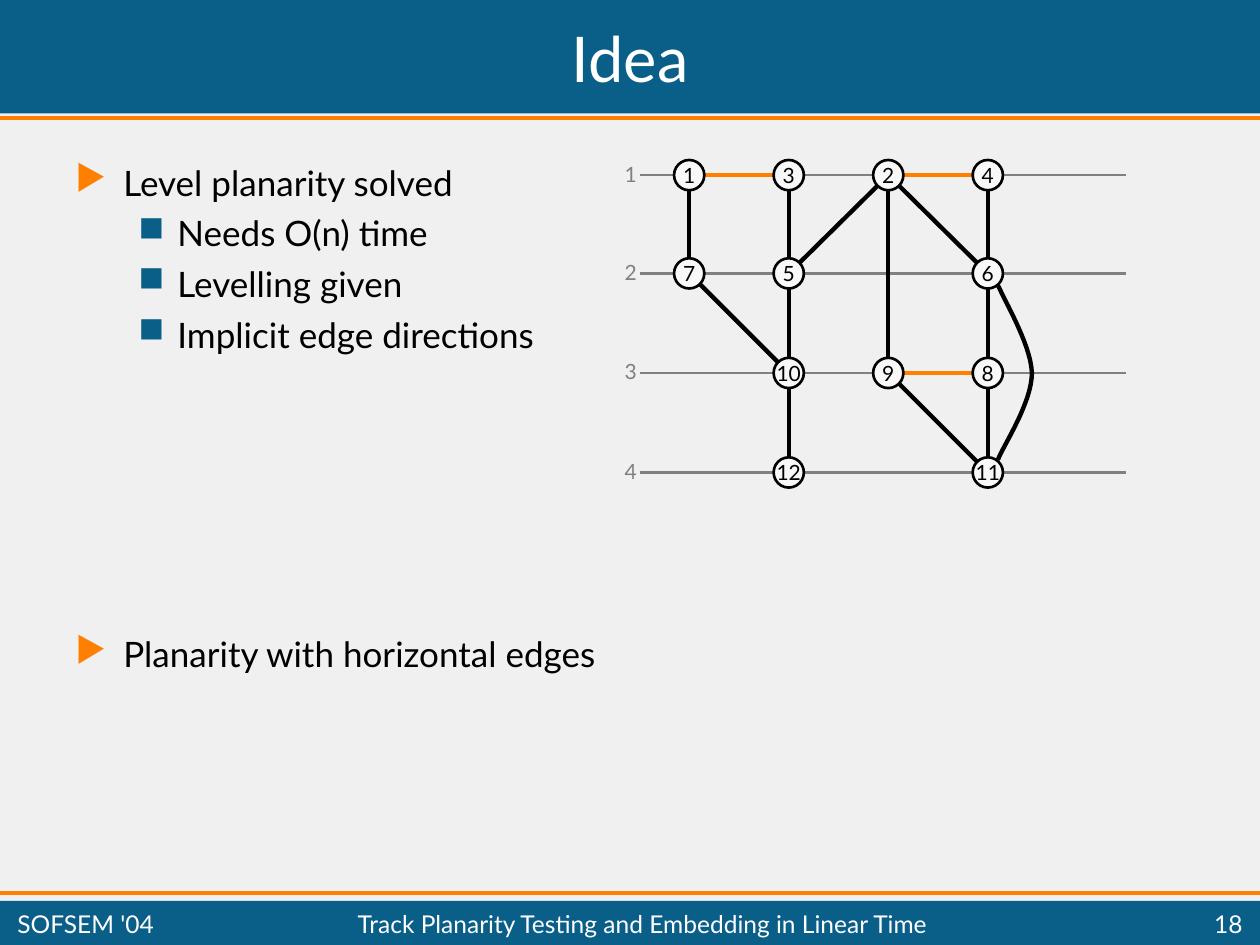
from dataclasses import dataclass
from math import hypot

from lxml.etree import SubElement
from pptx import Presentation
from pptx.dml.color import RGBColor
from pptx.enum.shapes import MSO_CONNECTOR, MSO_SHAPE
from pptx.enum.text import MSO_ANCHOR, PP_ALIGN
from pptx.oxml.ns import qn
from pptx.util import Inches, Pt

FONT = "Lato"
BLUE, ORANGE, GREY = "0A5F89", "FF7F00", "808080"
BLACK, WHITE, PAPER, NODE_FILL = "000000", "FFFFFF", "F0F0F0", "F8F8F8"

COLUMN_X = [5.47 + 0.79 * column for column in range(4)]
TRACK_Y = (1.39, 2.17, 2.96, 3.75)
TRACK_LEFT, TRACK_RIGHT = 5.08, 8.94
RADIUS = 0.12


@dataclass(frozen=True)
class Node:
    column: int
    track: int

    @property
    def centre(self) -> tuple[float, float]:
        return COLUMN_X[self.column], TRACK_Y[self.track]


@dataclass(frozen=True)
class Bullet:
    text: str
    level: int = 0
    before: float = 0


NODES = {
    1: Node(0, 0), 3: Node(1, 0), 2: Node(2, 0), 4: Node(3, 0),
    7: Node(0, 1), 5: Node(1, 1), 6: Node(3, 1),
    10: Node(1, 2), 9: Node(2, 2), 8: Node(3, 2),
    12: Node(1, 3), 11: Node(3, 3),
}
# Each edge runs from the lower node's rim to the upper node's centre
LEVEL_EDGES = [(5, 3), (7, 1), (6, 4), (6, 2), (5, 2), (11, 9), (11, 8),
               (8, 6), (9, 2), (10, 7), (10, 5), (12, 10)]
HORIZONTAL_EDGES = [(1, 3), (9, 8), (2, 4)]
# Cubic segments of the bent edge from 11 to 6
BENT_EDGE = [
    [(7.92, 3.65), (7.96, 3.54), (8.19, 3.2), (8.19, 2.96)],
    [(8.19, 2.96), (8.18, 2.71), (7.94, 2.34), (7.88, 2.17)],
]
BULLETS = [
    Bullet("Level planarity solved"),
    Bullet("Needs O(n) time", 1, 5),
    Bullet("Levelling given", 1, 5),
    Bullet("Implicit edge directions", 1, 5),
    Bullet("Planarity with horizontal edges", 0, 158.5),
]
# Marker, colour, left margin and hanging indent of each level
BULLET_STYLES = [("▶", ORANGE, 0.38, 0.38), ("■", BLUE, 0.81, 0.31)]


def rgb(colour: str) -> RGBColor:
    return RGBColor.from_string(colour)


def write(paragraph, text: str, *, size: float, colour: str = BLACK,
          align=PP_ALIGN.LEFT) -> None:
    paragraph.alignment = align
    run = paragraph.add_run()
    run.text = text
    run.font.name = FONT
    run.font.size = Pt(size)
    run.font.color.rgb = rgb(colour)


def add_text(slide, box: tuple, text: str, *, anchor=MSO_ANCHOR.MIDDLE,
             wrap: bool = True, **text_format) -> None:
    frame = slide.shapes.add_textbox(*map(Inches, box)).text_frame
    frame.word_wrap = wrap
    frame.vertical_anchor = anchor
    write(frame.paragraphs[0], text, **text_format)


def add_line(slide, start: tuple, end: tuple, colour: str, width: float) -> None:
    line = slide.shapes.add_connector(
        MSO_CONNECTOR.STRAIGHT, *map(Inches, (*start, *end)))
    line.line.color.rgb = rgb(colour)
    line.line.width = Pt(width)
    SubElement(line._element.spPr, qn("a:effectLst"))


def add_band(slide, top: float, height: float) -> None:
    band = slide.shapes.add_shape(
        MSO_SHAPE.RECTANGLE, 0, Inches(top), Inches(10), Inches(height))
    band.shadow.inherit = False
    band.fill.solid()
    band.fill.fore_color.rgb = rgb(BLUE)
    band.line.fill.background()


def add_level_edge(slide, lower: Node, upper: Node) -> None:
    (x1, y1), (x2, y2) = lower.centre, upper.centre
    share = RADIUS / hypot(x2 - x1, y2 - y1)
    rim = (x1 + share * (x2 - x1), y1 + share * (y2 - y1))
    add_line(slide, rim, (x2, y2), BLACK, 2.5)


def cubic_point(controls: list, t: float) -> tuple:
    weights = ((1 - t) ** 3, 3 * t * (1 - t) ** 2, 3 * t ** 2 * (1 - t), t ** 3)
    return tuple(Inches(sum(w * point[axis] for w, point in zip(weights, controls)))
                 for axis in (0, 1))


def add_bent_edge(slide, segments: list, steps: int = 16) -> None:
    points = [cubic_point(controls, step / steps)
              for controls in segments for step in range(steps + 1)]
    builder = slide.shapes.build_freeform(*points[0])
    builder.add_line_segments(points[1:], close=False)
    edge = builder.convert_to_shape()
    edge.shadow.inherit = False
    edge.fill.background()
    edge.line.color.rgb = rgb(BLACK)
    edge.line.width = Pt(2.5)


def add_node(slide, number: int, node: Node) -> None:
    x, y = node.centre
    circle = slide.shapes.add_shape(
        MSO_SHAPE.OVAL, Inches(x - RADIUS), Inches(y - RADIUS),
        Inches(2 * RADIUS), Inches(2 * RADIUS))
    circle.shadow.inherit = False
    circle.fill.solid()
    circle.fill.fore_color.rgb = rgb(NODE_FILL)
    circle.line.color.rgb = rgb(BLACK)
    circle.line.width = Pt(1.5)
    frame = circle.text_frame
    frame.word_wrap = False
    frame.vertical_anchor = MSO_ANCHOR.MIDDLE
    write(frame.paragraphs[0], str(number), size=12, align=PP_ALIGN.CENTER)


def add_bullets(slide, box: tuple, bullets: list[Bullet]) -> None:
    frame = slide.shapes.add_textbox(*map(Inches, box)).text_frame
    frame.word_wrap = True
    for index, bullet in enumerate(bullets):
        paragraph = frame.add_paragraph() if index else frame.paragraphs[0]
        marker, colour, margin, hanging = BULLET_STYLES[bullet.level]
        paragraph.level = bullet.level
        if bullet.before:
            paragraph.space_before = Pt(bullet.before)
        properties = paragraph._p.get_or_add_pPr()
        properties.set("marL", str(Inches(margin)))
        properties.set("indent", str(-Inches(hanging)))
        marker_colour = SubElement(properties, qn("a:buClr"))
        SubElement(marker_colour, qn("a:srgbClr"), val=colour)
        SubElement(properties, qn("a:buChar"), char=marker)
        write(paragraph, bullet.text, size=20)


def main() -> None:
    deck = Presentation()
    deck.slide_width, deck.slide_height = Inches(10), Inches(7.5)
    slide = deck.slides.add_slide(deck.slide_layouts[6])
    slide.background.fill.solid()
    slide.background.fill.fore_color.rgb = rgb(PAPER)

    # Header and footer bands with their rules
    add_band(slide, 0, 0.9)
    add_band(slide, 7.15, 0.35)
    for y in (0.94, 7.09):
        add_line(slide, (0, y), (10, y), ORANGE, 2.25)

    # Title and bullets
    add_text(slide, (0.04, 0.04, 9.92, 0.83), "Idea", size=36, colour=WHITE,
             align=PP_ALIGN.CENTER)
    add_bullets(slide, (0.5, 1.23, 5.48, 5.67), BULLETS)

    # Numbered tracks
    for number, y in enumerate(TRACK_Y, start=1):
        add_line(slide, (TRACK_LEFT, y), (TRACK_RIGHT, y), GREY, 1.5)
        add_text(slide, (4.86, y - 0.16, 0.29, 0.3), str(number), size=12,
                 colour=GREY, anchor=MSO_ANCHOR.TOP, wrap=False)

    # Graph: edges below, nodes on top
    add_bent_edge(slide, BENT_EDGE)
    for lower, upper in LEVEL_EDGES:
        add_level_edge(slide, NODES[lower], NODES[upper])
    for left, right in HORIZONTAL_EDGES:
        add_line(slide, NODES[left].centre, NODES[right].centre, ORANGE, 2.5)
    for number, node in NODES.items():
        add_node(slide, number, node)

    # Footer
    for left, width, text, align in (
        (0.04, 1.44, "SOFSEM '04", PP_ALIGN.LEFT),
        (1.5, 7.2, "Track Planarity Testing and Embedding in Linear Time",
         PP_ALIGN.CENTER),
        (8.78, 1.18, "18", PP_ALIGN.RIGHT),
    ):
        add_text(slide, (left, 7.19, width, 0.28), text, size=14, colour=WHITE,
                 align=align)

    deck.save("out.pptx")


if __name__ == "__main__":
    main()
